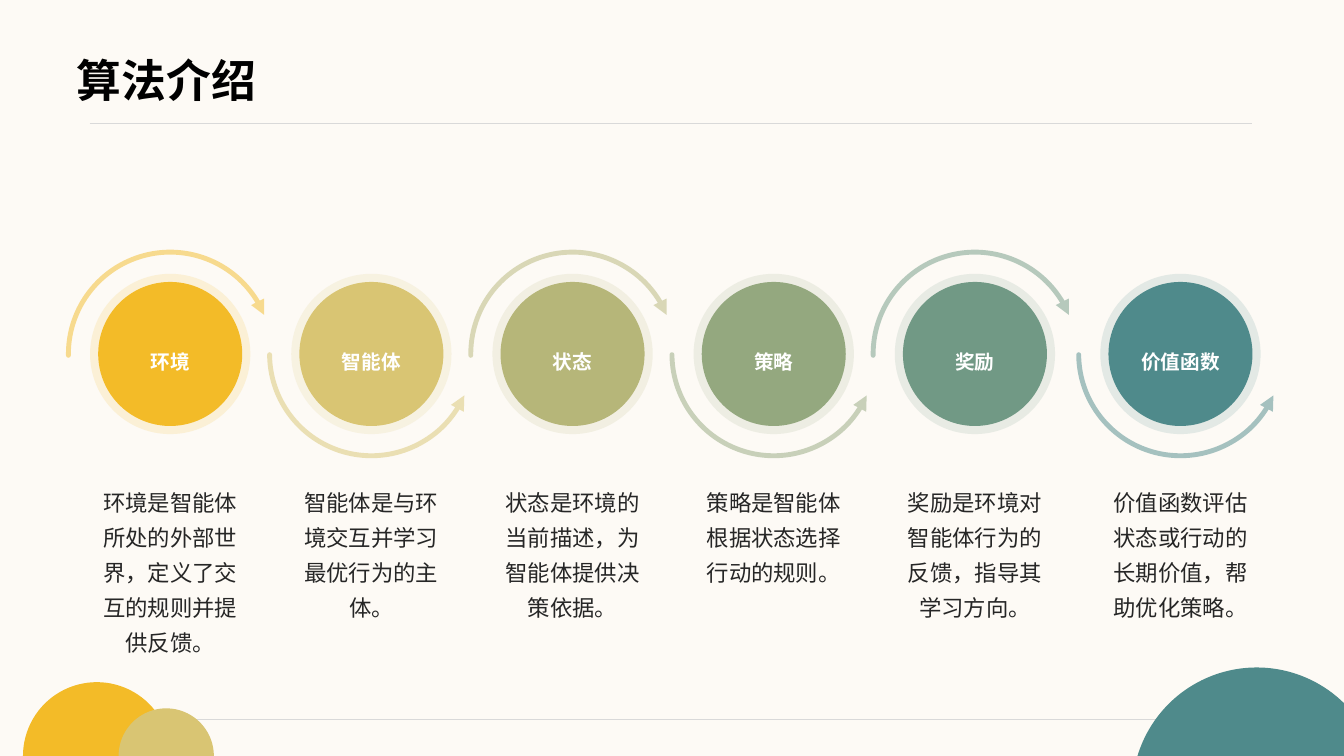
import math

from lxml import etree
from pptx import Presentation
from pptx.dml.color import RGBColor
from pptx.enum.shapes import MSO_CONNECTOR, MSO_SHAPE
from pptx.enum.text import MSO_ANCHOR, PP_ALIGN
from pptx.oxml.ns import qn
from pptx.util import Cm, Pt

OVAL, ARC = MSO_SHAPE.OVAL, MSO_SHAPE.ARC
STRAIGHT = MSO_CONNECTOR.STRAIGHT
TOP, MIDDLE = MSO_ANCHOR.TOP, MSO_ANCHOR.MIDDLE
LEFT, CENTER = PP_ALIGN.LEFT, PP_ALIGN.CENTER

TITLE = "算法介绍"
CONCEPTS = [
    ("环境", "环境是智能体所处的外部世界，定义了交互的规则并提供反馈。", "gold"),
    ("智能体", "智能体是与环境交互并学习最优行为的主体。", "sand"),
    ("状态", "状态是环境的当前描述，为智能体提供决策依据。", "olive"),
    ("策略", "策略是智能体根据状态选择行动的规则。", "sage"),
    ("奖励", "奖励是环境对智能体行为的反馈，指导其学习方向。", "green"),
    ("价值函数", "价值函数评估状态或行动的长期价值，帮助优化策略。", "teal"),
]
COLORS = {
    "background": "FDFAF5", "rule": "D9D9D9", "title": "000000",
    "body": "262626", "label": "FFFFFF",
    "gold": "F3BB28", "sand": "D9C573", "olive": "B6B679",
    "sage": "94A87F", "green": "719985", "teal": "4F8A8B",
}
CJK_FONT = "Noto Sans CJK SC"

# All lengths below are in centimetres
SLIDE_W, SLIDE_H = 33.87, 19.05
RULES = [(2.26, 31.55, 3.12), (4.29, 29.34, 18.13)]  # left, right, y
CORNER_DISCS = [  # centre x, centre y, radius, colour
    (2.44, 19.05, 1.86, "gold"),
    (4.19, 19.05, 1.2, "sand"),
    (31.67, 19.96, 3.14, "teal"),
]
FIRST_CENTER, STEP, LAST_SHIFT = 4.29, 5.07, 0.11
CENTER_Y = 8.92
DISC, HALO, SWEEP = 3.63, 4.04, 5.13  # diameters
BODY_TOP, BODY_H = 12.13, 5.46
# Clockwise angles in degrees, and the end that carries the arrowhead
SWEEP_OVER = (179.2, 337.45, "a:tailEnd")
SWEEP_UNDER = (24.05, 179.6, "a:headEnd")


def rgb(name):
    return RGBColor.from_string(COLORS[name])


def set_alpha(properties, percent):
    color = properties.find(".//" + qn("a:srgbClr"))
    etree.SubElement(color, qn("a:alpha")).set("val", str(percent * 1000))


def write(shape, words, size, color, align, anchor, latin=CJK_FONT,
          bold=False, insets=(0, 0, 0), spacing=None):
    """Fill a shape with one paragraph; insets are left, top, right."""
    frame = shape.text_frame
    frame.word_wrap = True
    frame.vertical_anchor = anchor
    frame.margin_left, frame.margin_top, frame.margin_right = map(Cm, insets)
    frame.margin_bottom = 0
    frame.text = words
    paragraph = frame.paragraphs[0]
    paragraph.alignment = align
    if spacing:
        paragraph.line_spacing = spacing
    font = paragraph.runs[0].font
    font.name, font.size, font.bold = latin, Pt(size), bold
    font.color.rgb = rgb(color)
    east_asian = etree.Element(qn("a:ea"), typeface=CJK_FONT)
    paragraph.runs[0]._r.rPr.find(qn("a:latin")).addnext(east_asian)


def add_rule(slide, left, right, y):
    rule = slide.shapes.add_connector(STRAIGHT, Cm(left), Cm(y), Cm(right), Cm(y))
    rule.line.color.rgb = rgb("rule")
    rule.line.width = Pt(0.5)
    etree.SubElement(rule._element.spPr, qn("a:effectLst"))


def add_corner_disc(slide, cx, cy, radius, color):
    """Draw the part of a disc that lies above the bottom and left of the right edge."""
    dip = math.asin((cy - SLIDE_H) / radius)
    start = math.pi - dip
    end = max(dip, math.acos(min(1, (SLIDE_W - cx) / radius)))
    rim = [(Cm(cx + radius * math.cos(a)), Cm(cy - radius * math.sin(a)))
           for a in (start, math.pi / 2, end)]
    builder = slide.shapes.build_freeform(*rim[0])
    builder.add_line_segments(rim[1:] + [(rim[-1][0], Cm(SLIDE_H))], close=True)
    disc = builder.convert_to_shape()
    paint(disc, color)

    # One true arc takes the place of the two chords along the rim
    to_apex, to_end = list(disc._element.iter(qn("a:lnTo")))[:2]
    arc = etree.Element(qn("a:arcTo"))
    arc.set("wR", str(Cm(radius)))
    arc.set("hR", str(Cm(radius)))
    arc.set("stAng", str(round(math.degrees(math.pi + dip) * 60000)))
    arc.set("swAng", str(round(math.degrees(start - end) * 60000)))
    to_apex.addprevious(arc)
    for chord in (to_apex, to_end):
        chord.getparent().remove(chord)


def paint(shape, color):
    shape.shadow.inherit = False
    shape.fill.solid()
    shape.fill.fore_color.rgb = rgb(color)
    shape.line.fill.background()


def add_round(slide, kind, cx, diameter):
    return slide.shapes.add_shape(
        kind, Cm(cx - diameter / 2), Cm(CENTER_Y - diameter / 2),
        Cm(diameter), Cm(diameter))


def add_sweep(slide, cx, color, start, end, arrow_end):
    """Draw the half-transparent curved arrow around a disc."""
    sweep = add_round(slide, ARC, cx, SWEEP)
    sweep.shadow.inherit = False
    sweep.fill.background()
    # Arc adjustments are 60000ths of a degree, divided by 100000
    sweep.adjustments[0], sweep.adjustments[1] = start * 0.6, end * 0.6
    sweep.line.color.rgb = rgb(color)
    sweep.line.width = Pt(3.5)
    line = sweep._element.spPr.find(qn("a:ln"))
    line.set("cap", "rnd")
    set_alpha(line, 50)
    etree.SubElement(line, qn("a:round"))
    etree.SubElement(line, qn(arrow_end)).set("type", "triangle")


def add_concept(slide, index, label, description, color):
    cx = FIRST_CENTER + STEP * index
    if index == len(CONCEPTS) - 1:
        cx += LAST_SHIFT
    halo = add_round(slide, OVAL, cx, HALO)
    paint(halo, color)
    set_alpha(halo._element.spPr, 15)
    disc = add_round(slide, OVAL, cx, DISC)
    paint(disc, color)
    write(disc, label, 14, "label", CENTER, TOP, bold=True, insets=(0.25, 1.17, 0.25))
    add_sweep(slide, cx, color, *(SWEEP_UNDER if index % 2 else SWEEP_OVER))
    body = slide.shapes.add_textbox(
        Cm(cx - DISC / 2), Cm(BODY_TOP), Cm(DISC), Cm(BODY_H))
    write(body, description, 16, "body", CENTER, TOP, spacing=1.3)


def main():
    deck = Presentation()
    deck.slide_width, deck.slide_height = Cm(SLIDE_W), Cm(SLIDE_H)
    slide = deck.slides.add_slide(deck.slide_layouts[6])
    slide.background.fill.solid()
    slide.background.fill.fore_color.rgb = rgb("background")

    for rule in RULES:
        add_rule(slide, *rule)
    for corner_disc in CORNER_DISCS:
        add_corner_disc(slide, *corner_disc)
    heading = slide.shapes.add_textbox(Cm(1.94), Cm(0.99), Cm(30), Cm(2.01))
    write(heading, TITLE, 32, "title", LEFT, MIDDLE, latin="Arial", bold=True)
    for index, concept in enumerate(CONCEPTS):
        add_concept(slide, index, *concept)
    deck.save("out.pptx")


if __name__ == "__main__":
    main()
